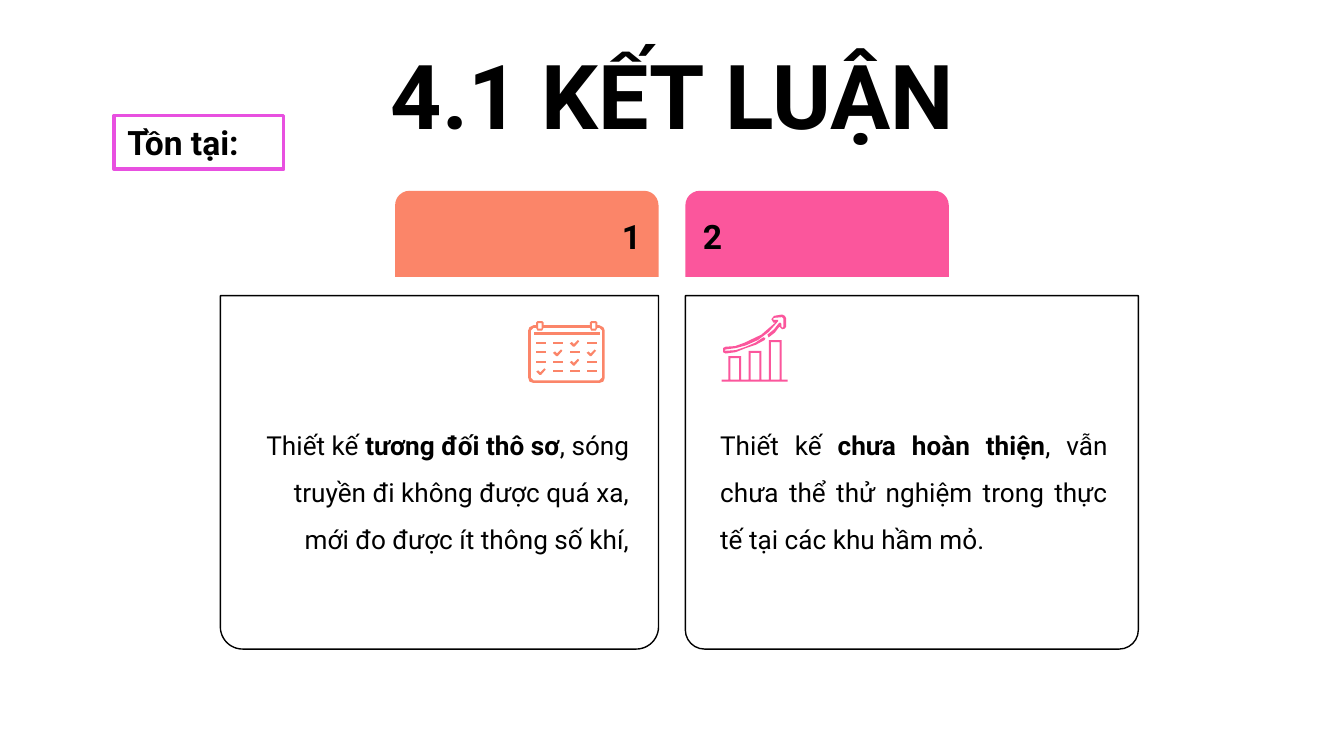
from dataclasses import dataclass

from pptx import Presentation
from pptx.dml.color import RGBColor
from pptx.enum.shapes import MSO_SHAPE as Preset
from pptx.enum.text import MSO_ANCHOR as Anchor, PP_ALIGN as Align
from pptx.util import Pt

PX = 4572  # EMU per px, 200 px to the inch


@dataclass(frozen=True)
class Theme:
    font: str = "Roboto"
    ink: str = "000000"
    paper: str = "FFFFFF"
    coral: str = "FB8569"
    pink: str = "FB569C"
    label_border: str = "E850E0"
    title_size: int = 48
    heading_size: int = 18
    body_size: int = 14


THEME = Theme()


def emu(*lengths):
    return [length * PX for length in lengths]


def rgb(code):
    return RGBColor.from_string(code)


def set_frame(frame, inset_y=20, anchor=Anchor.TOP):
    frame.word_wrap = True
    frame.vertical_anchor = anchor
    frame.margin_left = frame.margin_right = 20 * PX
    frame.margin_top = frame.margin_bottom = inset_y * PX


def set_text(paragraph, runs, size, align=Align.LEFT, bold=None):
    """Fill a paragraph from (text, bold) pairs; a bold value given for all wins."""
    paragraph.alignment = align
    for words, strong in runs:
        run = paragraph.add_run()
        run.text = words
        if bold is None:
            run.font.bold = strong
    font = paragraph.font
    font.name, font.size, font.bold = THEME.font, Pt(size), bold
    font.color.rgb = rgb(THEME.ink)


def add_box(shapes, preset, box, fill=None, line=None, width=0.75, corners=()):
    shape = shapes.add_shape(preset, *emu(*box))
    shape.shadow.inherit = False
    if fill:
        shape.fill.solid()
        shape.fill.fore_color.rgb = rgb(fill)
    else:
        shape.fill.background()
    if line:
        shape.line.color.rgb = rgb(line)
        shape.line.width = Pt(width)
    else:
        shape.line.fill.background()
    for index, corner in enumerate(corners):
        shape.adjustments[index] = corner
    return shape


def add_outline(shapes, origin, contours, color):
    """Draw closed contours as one filled shape; inner contours are holes."""
    left, top = origin
    placed = [[emu(left + x, top + y) for x, y in contour] for contour in contours]
    builder = shapes.build_freeform(*placed[0][0])
    for index, (start, *rest) in enumerate(placed):
        if index:
            builder.move_to(*start)
        builder.add_line_segments(rest, close=True)
    shape = builder.convert_to_shape()
    shape.shadow.inherit = False
    shape.fill.solid()
    shape.fill.fore_color.rgb = rgb(color)
    shape.line.fill.background()


def rectangle(left, top, width, height):
    right, bottom = left + width, top + height
    return [(left, top), (right, top), (right, bottom), (left, bottom)]


def add_growth_icon(slide, origin, color):
    shapes = slide.shapes.add_group_shape().shapes
    skyline, holes = [(0, 100), (0, 97)], []
    for index, top in enumerate((62, 54, 38)):
        left = 10 + 30 * index
        right = left + 19
        skyline += [(left, 97), (left, top), (right, top), (right, 97)]
        holes.append(rectangle(left + 3, top + 3, 13, 94 - top))
    skyline += [(98, 97), (98, 100)]
    add_outline(shapes, origin, [skyline, *holes], color)
    arrow = [
        (90, 0), (78, 2), (74, 7), (77, 12), (80, 12), (59, 30), (34, 42),
        (20, 47), (6, 48), (2, 50), (2, 56), (6, 58), (21, 56), (36, 50),
        (51, 45), (64, 38), (65, 35), (62, 34), (50, 42), (36, 48), (21, 53),
        (6, 54), (4, 53), (6, 52), (21, 50), (36, 46), (54, 38), (70, 26),
        (84, 10), (84, 8), (78, 8), (76, 7), (78, 5), (90, 4), (92, 6),
        (92, 18), (90, 20), (89, 18), (89, 14), (87, 12), (85, 13), (78, 22),
        (68, 30), (70, 34), (79, 27), (86, 18), (90, 22), (94, 21), (96, 18),
        (96, 6), (94, 2),
    ]
    add_outline(shapes, origin, [arrow], color)


def add_calendar_icon(slide, origin, color):
    shapes = slide.shapes.add_group_shape().shapes
    clips = (12, 92)
    outer, inner, slots = [(0, 14), (2, 9), (8, 6)], [(4, 14), (8, 10)], []
    for left in clips:
        right = left + 11
        outer += [(left, 6), (left, 2), (left + 2, 0), (right - 2, 0),
                  (right, 2), (right, 6)]
        inner += [(left, 10), (left + 2, 14), (right - 2, 14), (right, 10)]
        slots.append(rectangle(left + 3, 3, 5, 8))
    outer += [(106, 6), (112, 9), (114, 14), (114, 84), (112, 90), (106, 92),
              (8, 92), (2, 90), (0, 84)]
    inner += [(106, 10), (110, 14), (110, 84), (106, 88), (8, 88), (4, 84)]
    add_outline(shapes, origin, [outer, inner, *slots], color)
    add_outline(shapes, origin, [rectangle(8, 16, 99, 4)], color)

    dash = rectangle(0, 3, 15, 3)
    tick = [(12, 0), (6, 6), (3, 3), (0, 5), (5, 10), (7, 10), (14, 2)]
    ticked = {(0, 2), (1, 1), (1, 3), (2, 2), (3, 0)}
    for row in range(4):
        for column in range(4):
            mark = tick if (row, column) in ticked else dash
            cell = (origin[0] + 12 + 25 * column, origin[1] + 28 + 14 * row)
            add_outline(shapes, cell, [mark], color)


def add_title(slide, box, words):
    frame = slide.shapes.add_textbox(*emu(*box)).text_frame
    set_frame(frame, anchor=Anchor.MIDDLE)
    set_text(frame.paragraphs[0], [(words, True)], THEME.title_size, Align.CENTER, True)


def add_label(slide, box, words):
    label = add_box(slide.shapes, Preset.RECTANGLE, box, THEME.paper,
                    THEME.label_border, 2)
    set_frame(label.text_frame, inset_y=10)
    set_text(label.text_frame.paragraphs[0], [(words, True)],
             THEME.heading_size, bold=True)


def add_tab(slide, box, number, color, align):
    tab = add_box(slide.shapes, Preset.ROUND_2_SAME_RECTANGLE, box, color,
                  corners=(0.167, 0))
    set_frame(tab.text_frame, anchor=Anchor.MIDDLE)
    set_text(tab.text_frame.paragraphs[0], [(number, True)],
             THEME.heading_size, align, True)


def add_panel(slide, box, corner, text_span, runs, align, indent=0):
    """Outlined panel; text_span is the text's left offset, width and height."""
    left, top, _, _ = box
    add_box(slide.shapes, Preset.ROUND_2_SAME_RECTANGLE, box, line=THEME.ink,
            corners=(0, corner))
    offset, width, height = text_span
    frame = slide.shapes.add_textbox(
        *emu(left + offset, top + 166, width, height)).text_frame
    set_frame(frame, inset_y=10)
    paragraph = frame.paragraphs[0]
    paragraph.line_spacing = 1.5
    paragraph._p.get_or_add_pPr().set("marL", str(indent * PX))
    set_text(paragraph, runs, THEME.body_size, align)


def main():
    deck = Presentation()
    deck.slide_width, deck.slide_height = emu(2000, 1125)
    slide = deck.slides.add_slide(deck.slide_layouts[6])

    weakness = [("Thiết kế ", False), ("tương đối thô sơ", True),
                (", sóng truyền đi không được quá xa, mới đo được ít thông số khí,", False)]
    unfinished = [("Thiết kế ", False), ("chưa hoàn thiện", True),
                  (", vẫn chưa thể thử nghiệm trong thực tế tại các khu hầm mỏ.", False)]

    add_panel(slide, (328, 440, 652, 526), 0.063, (26, 602, 224), weakness, Align.RIGHT)
    add_panel(slide, (1020, 440, 674, 526), 0.054, (-68, 716, 400), unfinished,
              Align.JUSTIFY, indent=100)
    add_tab(slide, (588, 284, 392, 128), "1", THEME.coral, Align.RIGHT)
    add_tab(slide, (1020, 284, 392, 128), "2", THEME.pink, Align.LEFT)
    add_calendar_icon(slide, (786, 478), THEME.coral)
    add_growth_icon(slide, (1074, 468), THEME.pink)
    add_title(slide, (156, 86, 1690, 106), "4.1 KẾT LUẬN")
    add_label(slide, (170, 172, 252, 80), "Tồn tại:")

    deck.save("out.pptx")


if __name__ == "__main__":
    main()
